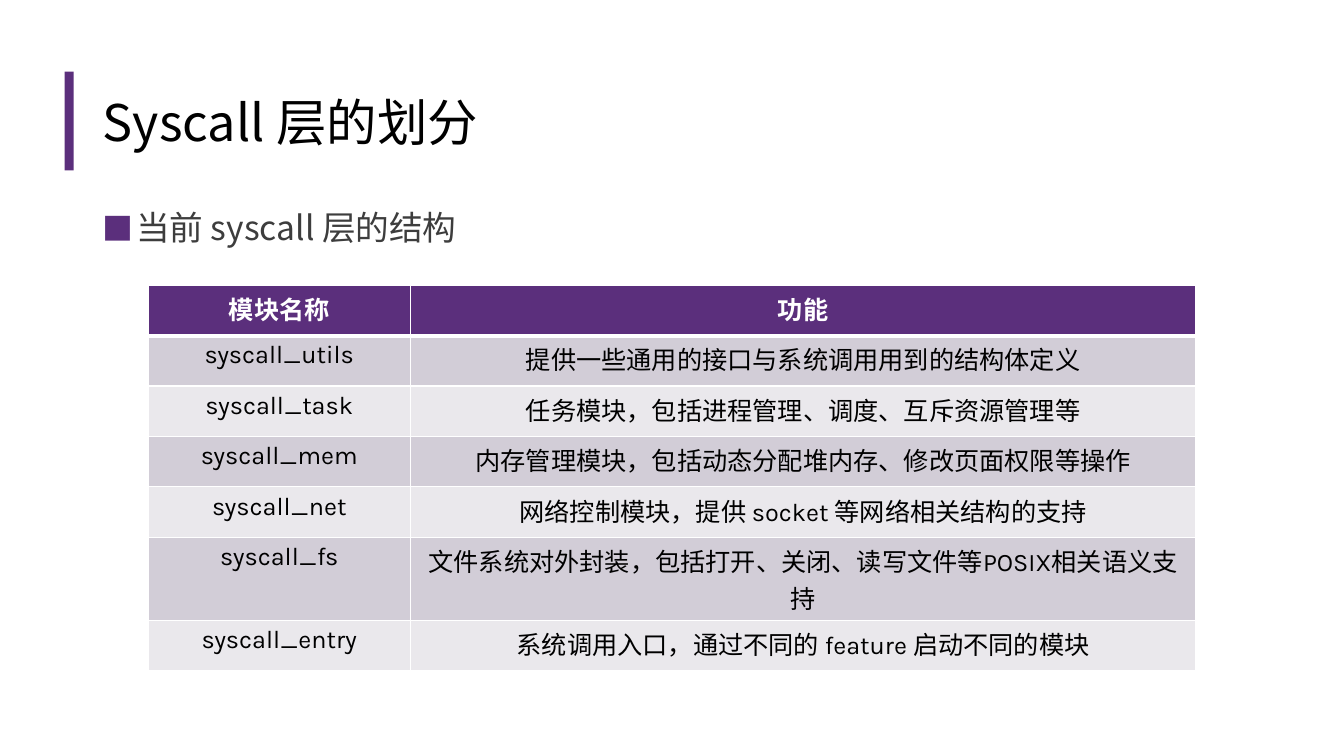
from lxml.etree import SubElement
from pptx import Presentation
from pptx.dml.color import RGBColor
from pptx.enum.shapes import MSO_SHAPE as Preset
from pptx.enum.text import MSO_ANCHOR as Anchor, MSO_AUTO_SIZE as AutoSize, PP_ALIGN as Align
from pptx.oxml import parse_xml
from pptx.oxml.ns import nsdecls, qn
from pptx.util import Inches, Pt

CJK = "Noto Sans CJK SC"
PURPLE = "5B2F7C"
HEADING = ("模块名称", "功能")
LAYERS = [
    ("syscall_utils", "提供一些通用的接口与系统调用用到的结构体定义"),
    ("syscall_task", "任务模块，包括进程管理、调度、互斥资源管理等"),
    ("syscall_mem", "内存管理模块，包括动态分配堆内存、修改页面权限等操作"),
    ("syscall_net", "网络控制模块，提供 socket 等网络相关结构的支持"),
    ("syscall_fs", "文件系统对外封装，包括打开、关闭、读写文件等POSIX相关语义支持"),
    ("syscall_entry", "系统调用入口，通过不同的 feature 启动不同的模块"),
]


def color(value):
    return RGBColor.from_string(value)


def write(para, text, size, ink, align, latin=CJK, bold=False):
    para.text = text
    para.alignment = align
    font = para.font
    font.size, font.bold, font.name = Pt(size), bold, latin
    font.color.rgb = color(ink)
    SubElement(para._p.pPr.find(qn("a:defRPr")), qn("a:ea"), typeface=CJK)


deck = Presentation()
deck.slide_width, deck.slide_height = Inches(13.33), Inches(7.5)
page = deck.slides.add_slide(deck.slide_layouts[1])

bar = page.shapes.add_shape(
    Preset.RECTANGLE, Inches(0.64), Inches(0.71), Inches(0.09), Inches(0.98))
bar.shadow.inherit = False
bar.fill.solid()
bar.fill.fore_color.rgb = color(PURPLE)
bar.line.fill.background()

title = page.shapes.title
title.left, title.top, title.width, title.height = map(Inches, (0.92, 0.85, 10.03, 0.71))
title.text_frame.auto_size = AutoSize.NONE
title.text_frame.vertical_anchor = Anchor.MIDDLE
write(title.text_frame.paragraphs[0], "Syscall 层的划分", 36, "000000", Align.LEFT)

body = page.placeholders[1]
body.left, body.top, body.width, body.height = map(Inches, (0.92, 2, 10.82, 4.76))
body.text_frame.auto_size = AutoSize.NONE
para = body.text_frame.paragraphs[0]
para.space_after = Pt(6)
write(para, "当前 syscall 层的结构", 24, "3D3D3D", Align.LEFT)
layout = para._p.pPr
layout.set("marL", str(Inches(0.33)))
layout.set("indent", str(-Inches(0.33)))
for bullet in (
    f'<a:buClr {nsdecls("a")}><a:srgbClr val="{PURPLE}"/></a:buClr>',
    f'<a:buSzPct {nsdecls("a")} val="92000"/>',
    f'<a:buFont {nsdecls("a")} typeface="{CJK}"/>',
    f'<a:buChar {nsdecls("a")} char="■"/>',
):
    layout.find(qn("a:defRPr")).addprevious(parse_xml(bullet))

rows = [HEADING] + LAYERS
table = page.shapes.add_table(
    len(rows), 2, Inches(1.47), Inches(2.83), Inches(10.39), Inches(0.5 * len(rows))).table
for column, width in zip(table.columns, (2.6, 7.79)):
    column.width = Inches(width)

for r, row in enumerate(rows):
    header = r == 0
    fill = PURPLE if header else ("EAE8EC", "D2CDD7")[r % 2]
    for c, text in enumerate(row):
        cell = table.cell(r, c)
        borders = {"L": 1, "R": 1, "T": 3 if r == 1 else 1, "B": 3 if header else 1}
        for side, points in borders.items():
            cell._tc.get_or_add_tcPr().append(parse_xml(
                f'<a:ln{side} {nsdecls("a")} w="{Pt(points)}"><a:solidFill>'
                f'<a:srgbClr val="FFFFFF"/></a:solidFill></a:ln{side}>'))
        cell.fill.solid()
        cell.fill.fore_color.rgb = color(fill)
        write(cell.text_frame.paragraphs[0], text, 18,
              "FFFFFF" if header else "000000", Align.CENTER, "Karla", header)

deck.save("out.pptx")
